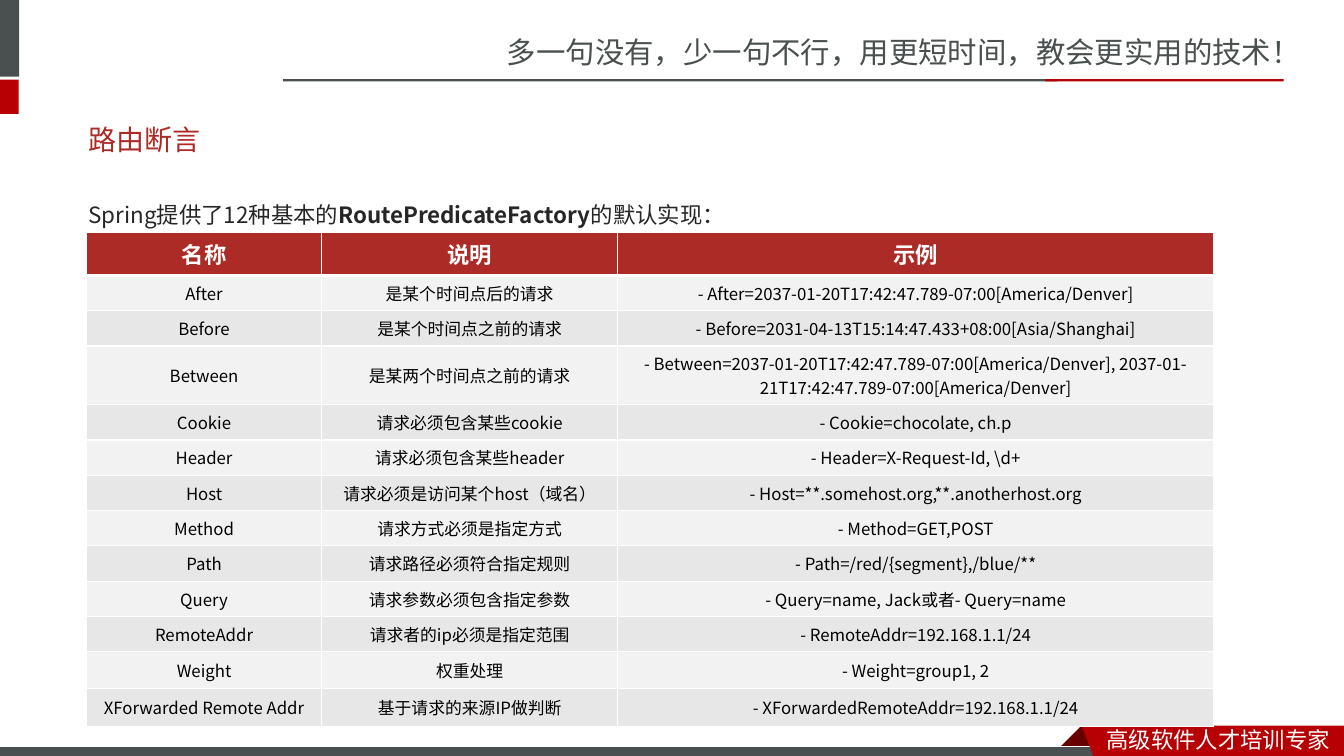
from lxml.etree import Element, SubElement
from pptx import Presentation
from pptx.dml.color import RGBColor
from pptx.enum.shapes import MSO_SHAPE
from pptx.enum.text import MSO_ANCHOR, MSO_AUTO_SIZE, PP_ALIGN
from pptx.oxml.ns import qn
from pptx.util import Pt

COLORS = {
    "gray": "49504F", "red": "B60004", "dark_red": "680000",
    "title": "AD2A26", "body": "262626", "header": "AD2B26",
    "odd_row": "F2F2F2", "even_row": "E7E7E7",
    "white": "FFFFFF", "black": "000000",
}
SC_FONT = "Noto Sans CJK SC"
JP_FONT = "Noto Sans CJK JP"

COLUMN_WIDTHS = [167.76, 211.68, 425.6]
ROW_HEIGHTS = [30.4] + [25.2] * 2 + [42] + [25.2] * 7 + [26.6] * 2
PREDICATES = [
    ("名称", "说明", "示例"),
    ("After", "是某个时间点后的请求", "- After=2037-01-20T17:42:47.789-07:00[America/Denver]"),
    ("Before", "是某个时间点之前的请求", "- Before=2031-04-13T15:14:47.433+08:00[Asia/Shanghai]"),
    ("Between", "是某两个时间点之前的请求",
     "- Between=2037-01-20T17:42:47.789-07:00[America/Denver], "
     "2037-01-21T17:42:47.789-07:00[America/Denver]"),
    ("Cookie", "请求必须包含某些cookie", "- Cookie=chocolate, ch.p"),
    ("Header", "请求必须包含某些header", "- Header=X-Request-Id, \\d+"),
    ("Host", "请求必须是访问某个host（域名）", "- Host=**.somehost.org,**.anotherhost.org"),
    ("Method", "请求方式必须是指定方式", "- Method=GET,POST"),
    ("Path", "请求路径必须符合指定规则", "- Path=/red/{segment},/blue/**"),
    ("Query", "请求参数必须包含指定参数", "- Query=name, Jack或者- Query=name"),
    ("RemoteAddr", "请求者的ip必须是指定范围", "- RemoteAddr=192.168.1.1/24"),
    ("Weight", "权重处理", "- Weight=group1, 2"),
    ("XForwarded Remote Addr", "基于请求的来源IP做判断", "- XForwardedRemoteAddr=192.168.1.1/24"),
]


def rgb(name):
    return RGBColor.from_string(COLORS[name])


def format_span(span, size, color, font, bold=False, east_asian=None):
    span.font.size = Pt(size)
    span.font.bold = bold
    span.font.name = font
    span.font.color.rgb = rgb(color)
    properties = span.font._element
    SubElement(properties, qn("a:ea"), typeface=east_asian or font)


def place(shape, left, top, width, height):
    shape.left, shape.top = Pt(left), Pt(top)
    shape.width, shape.height = Pt(width), Pt(height)


def paint(shape, color, outline=None):
    shape.shadow.inherit = False
    shape.fill.solid()
    shape.fill.fore_color.rgb = rgb(color)
    if outline:
        shape.line.color.rgb = rgb(outline)
        shape.line.width = Pt(0.75)
    else:
        shape.line.fill.background()


def add_bar(page, left, top, width, height, color, outline=None):
    bar = page.shapes.add_shape(
        MSO_SHAPE.RECTANGLE, Pt(left), Pt(top), Pt(width), Pt(height))
    paint(bar, color, outline)


def add_outline(page, points, color):
    corners = [(Pt(x), Pt(y)) for x, y in points]
    builder = page.shapes.build_freeform(*corners[0])
    builder.add_line_segments(corners[1:], close=True)
    paint(builder.convert_to_shape(), color)


def add_slogan(page, text, left, top, width, height, size, color):
    box = page.shapes.add_textbox(Pt(left), Pt(top), Pt(width), Pt(height))
    box.text_frame.word_wrap = True
    box.text_frame.text = text
    format_span(box.text_frame.paragraphs[0].runs[0], size, color, SC_FONT)


def add_frame(page):
    """Draw the corner bars, the header rule and the footer ribbon."""
    add_slogan(page, "多一句没有，少一句不行，用更短时间，教会更实用的技术！",
               354.96, 20.5, 605.5, 33.84, 21, "gray")
    add_bar(page, -4.32, 0, 18, 54.72, "gray")
    add_bar(page, -4.32, 56.88, 17.6, 24.48, "red")
    add_bar(page, 202.32, 56.6, 552.96, 1.6, "gray")
    add_bar(page, 746.64, 56.6, 170.3, 1.6, "red")
    add_outline(page, [(772.56, 518.4), (788.4, 534.24), (787.68, 535),
                       (757.44, 535), (756.72, 534.24)], "dark_red")
    add_bar(page, -0.72, 533.52, 792, 8.64, "gray", outline="white")
    add_outline(page, [(772.56, 518.4), (960, 518.4), (960, 542.9),
                       (781.92, 542.2)], "red")
    add_slogan(page, "高级软件人才培训专家",
               783.36, 514.8, 176.6, 26.64, 16, "white")


def fill_title(title):
    place(title, 56.16, 83.52, 842.4, 31.68)
    frame = title.text_frame
    frame.text = "路由断言"
    frame.auto_size = MSO_AUTO_SIZE.NONE
    frame.vertical_anchor = MSO_ANCHOR.MIDDLE
    para = frame.paragraphs[0]
    para.alignment = PP_ALIGN.LEFT
    format_span(para.runs[0], 20, "title", "Calibri", east_asian=SC_FONT)


def fill_intro(body):
    place(body, 56.16, 130.32, 830.16, 65.52)
    body.text_frame.auto_size = MSO_AUTO_SIZE.NONE
    para = body.text_frame.paragraphs[0]
    para.line_spacing = 1.5
    for text, bold in [("Spring提供了12种基本的", False),
                       ("RoutePredicateFactory", True),
                       ("的默认实现：", False)]:
        span = para.add_run()
        span.text = text
        format_span(span, 16, "body", JP_FONT, bold)
    properties = para._p.get_or_add_pPr()
    properties.set("marL", "0")
    properties.set("indent", "0")
    SubElement(properties, qn("a:buNone"))


def fill_cell(cell, text, fill, size, color, bold):
    cell.fill.solid()
    cell.fill.fore_color.rgb = rgb(fill)
    cell.vertical_anchor = MSO_ANCHOR.MIDDLE
    cell.text_frame.text = text
    para = cell.text_frame.paragraphs[0]
    para.alignment = PP_ALIGN.CENTER
    format_span(para.runs[0], size, color, JP_FONT, bold)


def add_borders(cell, widths):
    """Add white borders; widths maps border tags, in schema order, to points."""
    properties = cell._tc.get_or_add_tcPr()
    for position, (tag, width) in enumerate(widths.items()):
        border = Element(qn(tag), w=str(Pt(width)))
        fill = SubElement(border, qn("a:solidFill"))
        SubElement(fill, qn("a:srgbClr"), val=COLORS["white"])
        properties.insert(position, border)


def add_predicate_table(page):
    table = page.shapes.add_table(
        len(PREDICATES), len(COLUMN_WIDTHS), Pt(61.92), Pt(166.32),
        Pt(sum(COLUMN_WIDTHS)), Pt(sum(ROW_HEIGHTS))).table
    for column, width in zip(table.columns, COLUMN_WIDTHS):
        column.width = Pt(width)
    for index, (row, height) in enumerate(zip(table.rows, ROW_HEIGHTS)):
        row.height = Pt(height)
        if index == 0:
            style = ("header", 16, "white", True)
        else:
            style = ("odd_row" if index % 2 else "even_row", 12, "black", False)
        borders = {"a:lnL": 1, "a:lnR": 1, "a:lnT": 3 if index == 1 else 1,
                   "a:lnB": 3 if index == 0 else 1}
        for cell, text in zip(row.cells, PREDICATES[index]):
            fill_cell(cell, text, *style)
            add_borders(cell, borders)


def main():
    deck = Presentation()
    deck.slide_width, deck.slide_height = Pt(960), Pt(540)
    page = deck.slides.add_slide(deck.slide_layouts[1])
    add_frame(page)
    fill_title(page.shapes.title)
    fill_intro(page.placeholders[1])
    add_predicate_table(page)
    deck.save("out.pptx")


if __name__ == "__main__":
    main()
